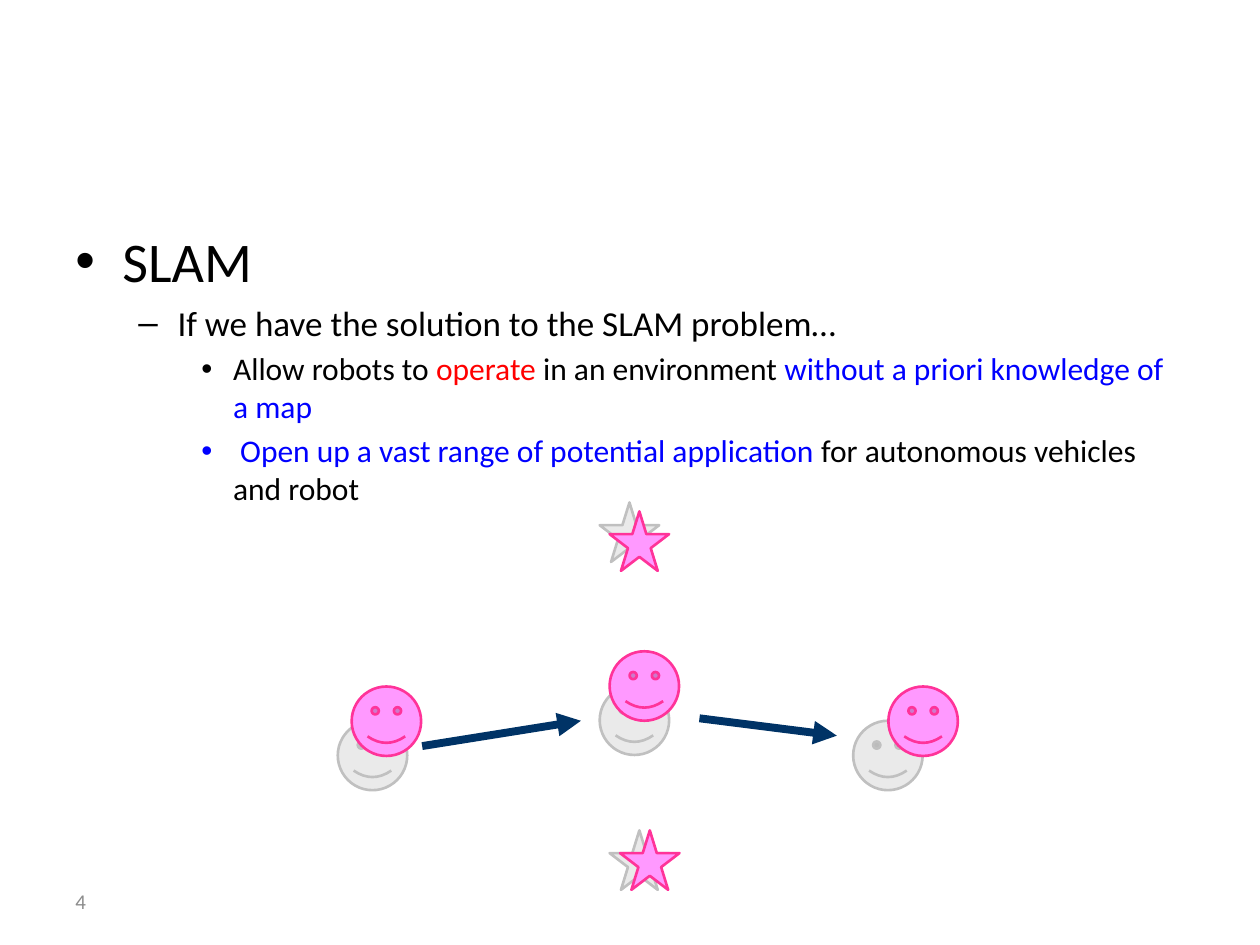
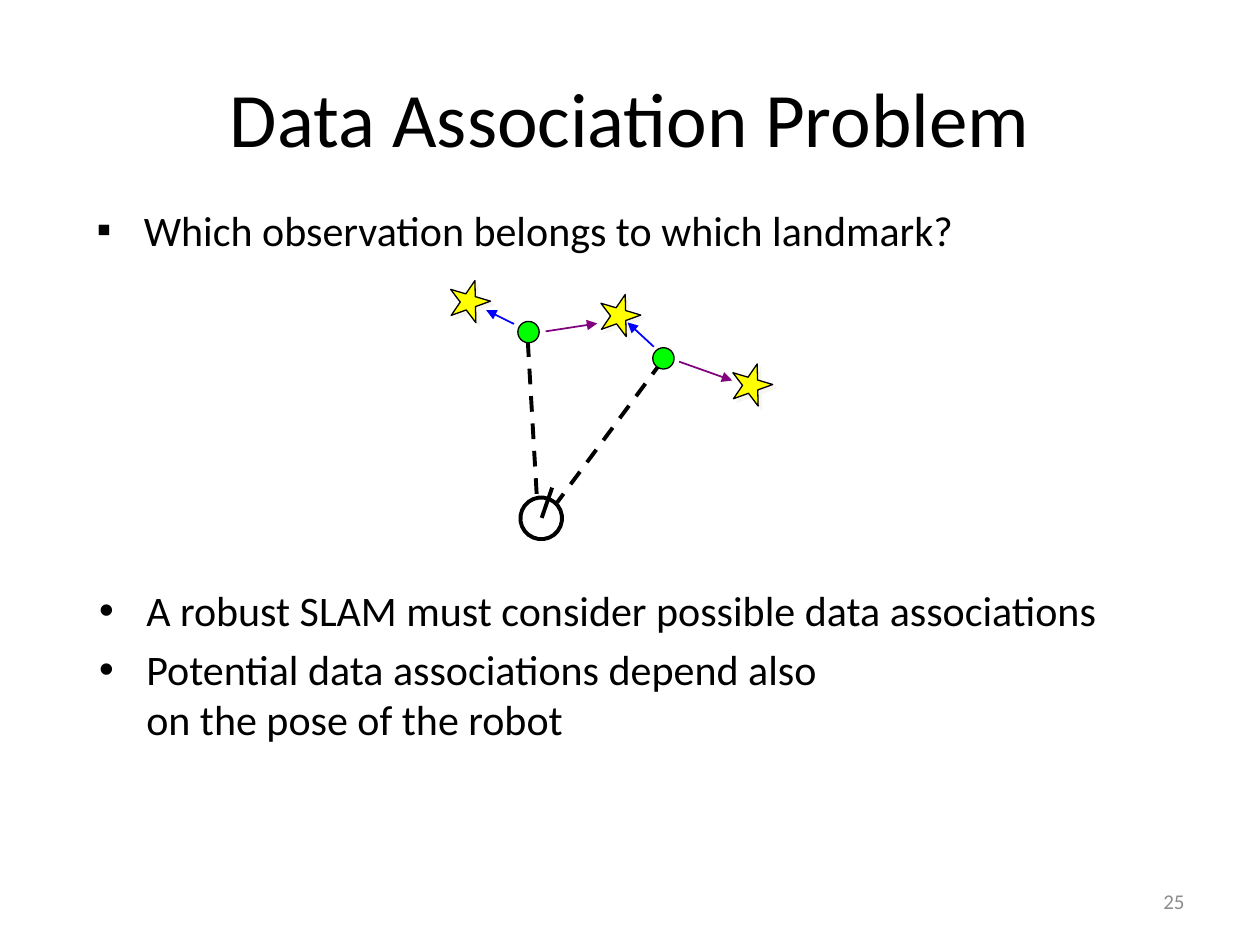
from dataclasses import dataclass
from typing import Any, NamedTuple

from lxml.etree import SubElement
from pptx import Presentation
from pptx.dml.color import RGBColor
from pptx.enum.dml import MSO_LINE as Dash
from pptx.enum.shapes import MSO_CONNECTOR as Connector, MSO_SHAPE as Preset
from pptx.enum.text import MSO_ANCHOR as Anchor, PP_ALIGN as Align
from pptx.oxml.ns import qn
from pptx.util import Cm, Pt

BLACK = RGBColor(0x00, 0x00, 0x00)
WHITE = RGBColor(0xFF, 0xFF, 0xFF)
RED = RGBColor(0xFF, 0x00, 0x00)
BLUE = RGBColor(0x00, 0x00, 0xFF)
PURPLE = RGBColor(0x80, 0x00, 0x80)
NAVY = RGBColor(0x00, 0x33, 0x66)
YELLOW = RGBColor(0xFF, 0xFF, 0x00)
GREEN = RGBColor(0x00, 0xFF, 0x00)
NUMBER_GREY = RGBColor(0x8C, 0x8C, 0x8C)
PALE_GREY = RGBColor(0xEA, 0xEA, 0xEA)
MID_GREY = RGBColor(0xC0, 0xC0, 0xC0)
PALE_PINK = RGBColor(0xFF, 0x99, 0xFF)
DEEP_PINK = RGBColor(0xFF, 0x33, 0x99)
SHADOW = RGBColor(0xEE, 0xEC, 0xE1)

FONT = "Calibri"
TITLE_ONLY, BLANK = 5, 6
FRAME_FORMAT = {"word_wrap": True, "vertical_anchor": Anchor.TOP}
CENTRED_FRAME = {"word_wrap": True, "vertical_anchor": Anchor.MIDDLE}


class Area(NamedTuple):
    left: float
    top: float
    width: float
    height: float


class Point(NamedTuple):
    x: float
    y: float


class Span(NamedTuple):
    text: str
    colour: RGBColor = BLACK


@dataclass(frozen=True)
class Bullet:
    spans: tuple[Span, ...]
    size: float = 24
    mark: str = "•"
    level: int = 0


@dataclass(frozen=True)
class Look:
    preset: Any
    width: float
    height: float
    fill: RGBColor
    outline: RGBColor
    weight: float
    rotation: float = 0
    shadowed: bool = False


@dataclass(frozen=True)
class Stroke:
    colour: RGBColor
    weight: float
    arrow: bool = False
    dashed: bool = False


INDENTS = ((0.95, 0.95), (2.06, 0.79), (3.18, 0.64))


def smiley(fill: RGBColor, outline: RGBColor) -> Look:
    return Look(Preset.SMILEY_FACE, 1.4, 1.4, fill, outline, 1.5)


def landmark(fill: RGBColor, outline: RGBColor) -> Look:
    return Look(Preset.STAR_5_POINT, 1.2, 1.2, fill, outline, 1.5)


MAP_MARKERS = (
    (smiley(PALE_GREY, MID_GREY), (Point(6.81, 14.53), Point(17.2, 14.53), Point(12.09, 13.82))),
    (landmark(PALE_GREY, MID_GREY), (Point(12.09, 10.13), Point(12.29, 16.74))),
    (smiley(PALE_PINK, DEEP_PINK), (Point(17.91, 13.84), Point(7.09, 13.84), Point(12.29, 13.13))),
    (landmark(PALE_PINK, DEEP_PINK), (Point(12.29, 10.31), Point(12.5, 16.74))),
)
MOTIONS = (
    (Point(8.51, 15.04), Point(11.71, 14.53)),
    (Point(14.1, 14.48), Point(16.87, 14.83)),
)

STAR = Look(Preset.STAR_5_POINT, 0.84, 0.81, YELLOW, BLACK, 0.75, 16.5, True)
ROBOT = Look(Preset.OVAL, 0.84, 0.84, WHITE, BLACK, 2.25, 37.7)
OBSERVATION = Look(Preset.OVAL, 0.43, 0.43, GREEN, BLACK, 0.75, 16.5)
STARS = (Point(9.04, 5.64), Point(12.07, 5.92), Point(14.73, 7.32))
OBSERVATIONS = (Point(10.44, 6.48), Point(13.16, 7.01))
ROBOT_LINES = (
    (Stroke(BLACK, 2.25), ((Point(10.92, 10.44), Point(11.13, 9.83)),)),
    (Stroke(BLACK, 2.25, dashed=True), (
        (Point(10.64, 6.88), Point(10.82, 9.98)),
        (Point(13.34, 7.29), Point(11.23, 10.13)),
    )),
)
ASSOCIATIONS = (
    (Stroke(BLUE, 1, arrow=True), (
        (Point(10.36, 6.53), Point(9.8, 6.25)),
        (Point(13.18, 6.99), Point(12.65, 6.5)),
    )),
    (Stroke(PURPLE, 1, arrow=True), (
        (Point(11, 6.68), Point(12.04, 6.52)),
        (Point(13.69, 7.29), Point(14.76, 7.67)),
    )),
)

SLAM_BULLETS = (
    Bullet((Span("SLAM"),), 32),
    Bullet((Span("If we have the solution to the SLAM problem…"),), 20, "–", 1),
    Bullet((
        Span("Allow robots to "),
        Span("operate", RED),
        Span(" in an environment "),
        Span("without a priori knowledge of a map", BLUE),
    ), 18, level=2),
    Bullet((
        Span(" Open up a vast range of potential application", BLUE),
        Span(" for autonomous vehicles and robot"),
    ), 18, level=2),
)
QUESTION = (Bullet((Span("Which observation belongs to which landmark?"),), mark="▪"),)
CONCLUSIONS = (
    Bullet((Span("A robust SLAM must consider possible data associations"),)),
    Bullet((Span("Potential data associations depend also \non the pose of the robot"),)),
)


def apply(target: Any, values: dict[str, Any]) -> None:
    for name, value in values.items():
        setattr(target, name, value)


def place(shape: Any, area: Area) -> None:
    apply(shape, {name: Cm(value) for name, value in area._asdict().items()})


def write(para: Any, text: str, size: float, colour: RGBColor) -> None:
    for index, line in enumerate(text.split("\n")):
        if index:
            para.add_line_break()
        run = para.add_run()
        run.text = line
        apply(run.font, {"name": FONT, "size": Pt(size)})
        run.font.color.rgb = colour


def add_box(page: Any, area: Area, frame_format: dict[str, Any]) -> Any:
    box = page.shapes.add_textbox(*map(Cm, area))
    apply(box.text_frame, frame_format)
    return box.text_frame


def add_title(page: Any, text: str) -> None:
    title = page.shapes.title
    place(title, Area(1.27, 0.76, 22.86, 3.18))
    apply(title.text_frame, CENTRED_FRAME)
    para = title.text_frame.paragraphs[0]
    para.alignment = Align.CENTER
    write(para, text, 44, BLACK)


def add_number(page: Any, text: str, left: float, alignment: Any) -> None:
    frame = add_box(page, Area(left, 17.65, 5.92, 1.02), CENTRED_FRAME)
    para = frame.paragraphs[0]
    para.alignment = alignment
    write(para, text, 12, NUMBER_GREY)


def add_bullets(page: Any, area: Area, bullets: tuple[Bullet, ...]) -> None:
    frame = add_box(page, area, FRAME_FORMAT)
    for index, bullet in enumerate(bullets):
        para = frame.add_paragraph() if index else frame.paragraphs[0]
        para.level = bullet.level
        margin, hang = INDENTS[bullet.level]
        properties = para._p.get_or_add_pPr()
        properties.set("marL", str(Cm(margin)))
        properties.set("indent", str(-Cm(hang)))
        before = SubElement(properties, qn("a:spcBef"))
        SubElement(before, qn("a:spcPct"), val="20000")
        SubElement(properties, qn("a:buFont"), typeface="Arial")
        SubElement(properties, qn("a:buChar"), char=bullet.mark)
        for span in bullet.spans:
            write(para, span.text, bullet.size, span.colour)


def add_markers(page: Any, look: Look, points: tuple[Point, ...]) -> None:
    for point in points:
        area = Area(*point, look.width, look.height)
        shape = page.shapes.add_shape(look.preset, *map(Cm, area))
        shape.rotation = look.rotation
        shape.shadow.inherit = False
        shape.fill.solid()
        shape.fill.fore_color.rgb = look.fill
        shape.line.color.rgb = look.outline
        shape.line.width = Pt(look.weight)
        if look.shadowed:
            effects = shape._element.spPr.find(qn("a:effectLst"))
            shadow = SubElement(effects, qn("a:outerShdw"), dist=str(Pt(2.8)), dir="2700000")
            colour = SubElement(shadow, qn("a:srgbClr"), val=str(SHADOW))
            SubElement(colour, qn("a:alpha"), val="50000")


def add_lines(page: Any, stroke: Stroke, paths: tuple[tuple[Point, Point], ...]) -> None:
    for start, end in paths:
        connector = page.shapes.add_connector(Connector.STRAIGHT, *map(Cm, start + end))
        connector.line.color.rgb = stroke.colour
        connector.line.width = Pt(stroke.weight)
        if stroke.dashed:
            connector.line.dash_style = Dash.DASH
        if stroke.arrow:
            SubElement(connector.line._get_or_add_ln(), qn("a:tailEnd"), type="triangle")
        SubElement(connector._element.spPr, qn("a:effectLst"))


def build_slam_page(deck: Any) -> None:
    page = deck.slides.add_slide(deck.slide_layouts[BLANK])
    add_number(page, "4", 1.27, Align.LEFT)
    add_bullets(page, Area(1.27, 4.45, 22.86, 12.57), SLAM_BULLETS)
    for look, points in MAP_MARKERS:
        add_markers(page, look, points)
    add_lines(page, Stroke(NAVY, 4.5, arrow=True), MOTIONS)


def build_association_page(deck: Any) -> None:
    page = deck.slides.add_slide(deck.slide_layouts[TITLE_ONLY])
    add_number(page, "25", 18.21, Align.RIGHT)
    add_title(page, "Data Association Problem")
    add_bullets(page, Area(1.75, 11.66, 21.59, 6.1), CONCLUSIONS)
    add_markers(page, STAR, STARS)
    add_markers(page, ROBOT, (Point(10.49, 10.03),))
    for stroke, paths in ROBOT_LINES:
        add_lines(page, stroke, paths)
    add_markers(page, OBSERVATION, OBSERVATIONS)
    for stroke, paths in ASSOCIATIONS:
        add_lines(page, stroke, paths)
    add_bullets(page, Area(1.7, 3.99, 21.59, 2.54), QUESTION)


def main() -> None:
    deck = Presentation()
    apply(deck, {"slide_width": Cm(25.4), "slide_height": Cm(19.05)})
    build_slam_page(deck)
    build_association_page(deck)
    deck.save("out.pptx")


if __name__ == "__main__":
    main()
